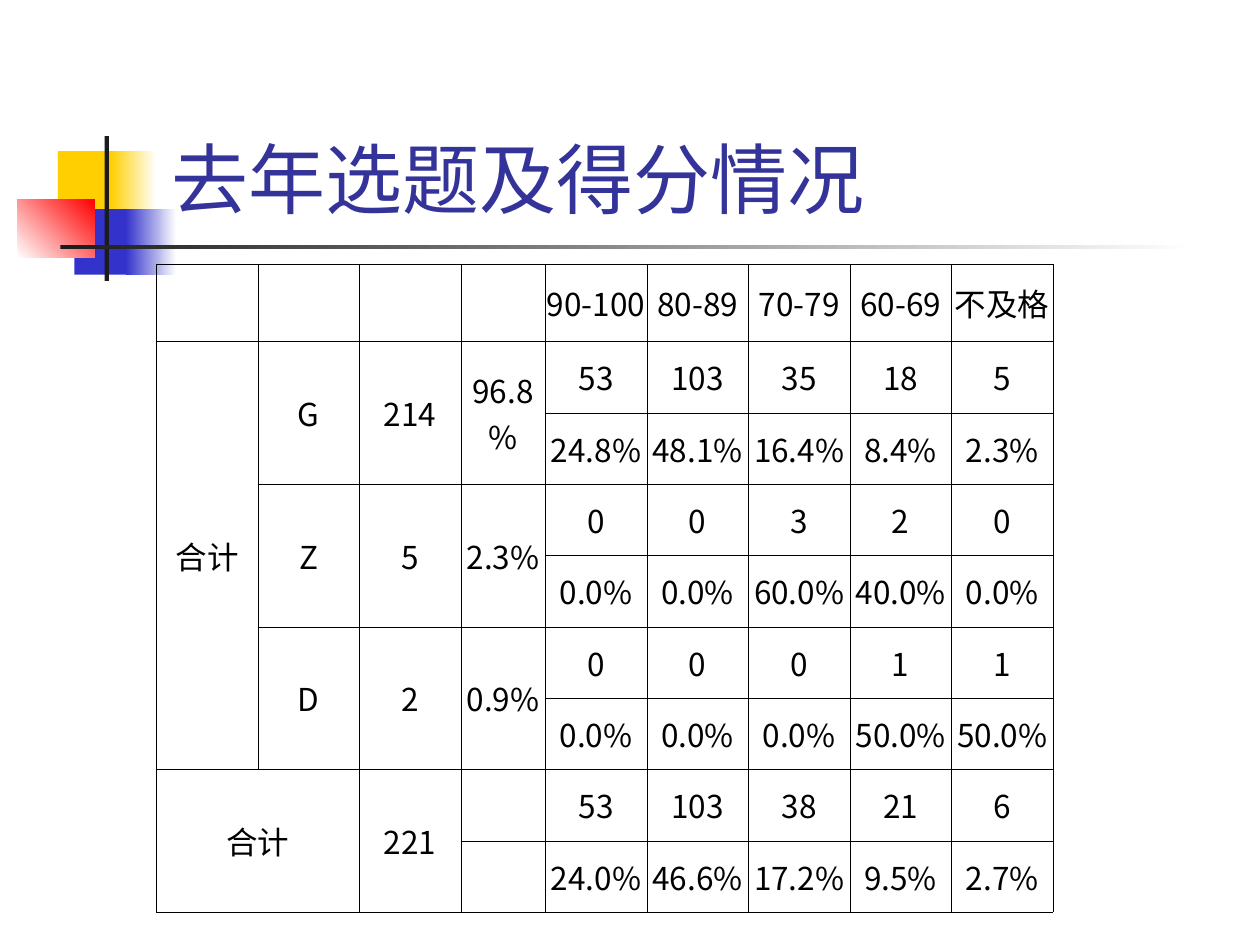
from dataclasses import dataclass

from lxml import etree
from pptx import Presentation
from pptx.dml.color import RGBColor
from pptx.enum.shapes import MSO_SHAPE
from pptx.enum.text import MSO_ANCHOR, PP_ALIGN
from pptx.oxml.ns import qn
from pptx.util import Emu, Inches, Pt

RECT = MSO_SHAPE.RECTANGLE
MIDDLE, BOTTOM = MSO_ANCHOR.MIDDLE, MSO_ANCHOR.BOTTOM
CENTER = PP_ALIGN.CENTER

COLORS = {
    "yellow": "FFCF01",
    "blue": "3333CC",
    "red": "FF0000",
    "bar": "1C1C1C",
    "white": "FFFFFF",
    "title": "333399",
    "ink": "000000",
}
LATIN, CJK = "Lato", "Noto Sans CJK SC"
WIDTH, HEIGHT = Inches(10), Inches(7.5)


@dataclass
class Box:
    """Percentages of the slide's width and height."""
    left: float
    top: float
    width: float
    height: float

    def emu(self) -> tuple[Emu, ...]:
        return (Emu(int(WIDTH * self.left / 100)), Emu(int(HEIGHT * self.top / 100)),
                Emu(int(WIDTH * self.width / 100)), Emu(int(HEIGHT * self.height / 100)))


@dataclass
class Block:
    box: Box
    color: str
    fade_to: str | None = None
    angle: int = 0


@dataclass
class Topic:
    name: str
    counts: list[int]

    @property
    def total(self) -> int:
        return sum(self.counts)


BLOCKS = [
    Block(Box(4.6, 16, 4.8, 6.93), "yellow"),
    Block(Box(8.8, 16, 3.6, 6.93), "yellow", "white"),
    Block(Box(5.9, 22.13, 4.6, 6.93), "blue"),
    Block(Box(10, 22.13, 4, 6.93), "blue", "white"),
    Block(Box(1.4, 21.07, 6.1, 6.2), "white", "red", 45),
    Block(Box(8.3, 14.4, 0.35, 15.33), "bar"),
    Block(Box(4.8, 25.9, 90, 0.5), "bar", "white"),
]
TITLE_BOX = Box(12.6, 3.07, 85.2, 21.33)
TABLE_BOX = Box(12.4, 28, 71.2, 68.53)
SHARE_COL, HEADER_ROW = Inches(0.67), Inches(0.61)

BANDS = ["90-100", "80-89", "70-79", "60-69", "不及格"]
TOPICS = [
    Topic("G", [53, 103, 35, 18, 5]),
    Topic("Z", [0, 0, 3, 2, 0]),
    Topic("D", [0, 0, 0, 1, 1]),
]
ALL = Topic("合计", [sum(c) for c in zip(*(t.counts for t in TOPICS))])
FIRST_BAND = 4
TOTAL_ROW = 1 + 2 * len(TOPICS)


def rgb(name: str) -> RGBColor:
    return RGBColor.from_string(COLORS[name])


def percent(part: int, whole: int) -> str:
    return f"{part / whole:.1%}"


def add_block(slide, block: Block) -> None:
    s = slide.shapes.add_shape(RECT, *block.box.emu())
    s.shadow.inherit = False
    s.line.fill.background()
    if block.fade_to is None:
        s.fill.solid()
        s.fill.fore_color.rgb = rgb(block.color)
        return
    s.fill.gradient()
    s.fill.gradient_angle = block.angle
    for stop, name in zip(s.fill.gradient_stops, (block.color, block.fade_to)):
        stop.color.rgb = rgb(name)


def style(p, size: int, font: str, color: str) -> None:
    p.font.size = Pt(size)
    p.font.name = font
    p.font.color.rgb = rgb(color)
    props = p._p.get_or_add_pPr().find(qn("a:defRPr"))
    etree.SubElement(props, qn("a:ea")).set("typeface", CJK)


def add_title(slide, text: str) -> None:
    tf = slide.shapes.add_textbox(*TITLE_BOX.emu()).text_frame
    tf.word_wrap = True
    tf.vertical_anchor = BOTTOM
    p = tf.paragraphs[0]
    p.text = text
    style(p, 44, LATIN, "title")


def format_cell(cell) -> None:
    cell.margin_left = cell.margin_right = Inches(0.01)
    cell.vertical_anchor = MIDDLE
    props = cell._tc.get_or_add_tcPr()
    for side in ("lnL", "lnR", "lnT", "lnB"):
        ln = etree.SubElement(props, qn(f"a:{side}"), w=str(Pt(0.23)))
        fill = etree.SubElement(ln, qn("a:solidFill"))
        etree.SubElement(fill, qn("a:srgbClr"), val=COLORS["ink"])
    cell.fill.background()


def put(table, row: int, col: int, text: str, rows: int = 1, cols: int = 1) -> None:
    cell = table.cell(row, col)
    if rows * cols > 1:
        cell.merge(table.cell(row + rows - 1, col + cols - 1))
    p = cell.text_frame.paragraphs[0]
    p.text = text
    p.alignment = CENTER
    style(p, 18, CJK, "ink")


def put_scores(table, row: int, topic: Topic) -> None:
    put(table, row, 2, str(topic.total), rows=2)
    for col, count in enumerate(topic.counts, FIRST_BAND):
        put(table, row, col, str(count))
        put(table, row + 1, col, percent(count, topic.total))


def add_score_table(slide) -> None:
    n_rows, n_cols = TOTAL_ROW + 2, FIRST_BAND + len(BANDS)
    left, top, width, height = TABLE_BOX.emu()
    table = slide.shapes.add_table(n_rows, n_cols, left, top, width, height).table
    table.first_row = table.horz_banding = False
    for i, column in enumerate(table.columns):
        column.width = SHARE_COL if i == 3 else (width - SHARE_COL) // (n_cols - 1)
    for i, row in enumerate(table.rows):
        row.height = HEADER_ROW if i == 0 else (height - HEADER_ROW) // (n_rows - 1)
    for cell in table.iter_cells():
        format_cell(cell)

    for col, band in enumerate(BANDS, FIRST_BAND):
        put(table, 0, col, band)
    put(table, 1, 0, ALL.name, rows=2 * len(TOPICS))
    for i, topic in enumerate(TOPICS):
        row = 1 + 2 * i
        put(table, row, 1, topic.name, rows=2)
        put(table, row, 3, percent(topic.total, ALL.total), rows=2)
        put_scores(table, row, topic)
    put(table, TOTAL_ROW, 0, ALL.name, rows=2, cols=2)
    put_scores(table, TOTAL_ROW, ALL)


def main() -> None:
    prs = Presentation()
    prs.slide_width, prs.slide_height = WIDTH, HEIGHT
    slide = prs.slides.add_slide(prs.slide_layouts[6])
    for block in BLOCKS:
        add_block(slide, block)
    add_title(slide, "去年选题及得分情况")
    add_score_table(slide)
    prs.save("out.pptx")


if __name__ == "__main__":
    main()
